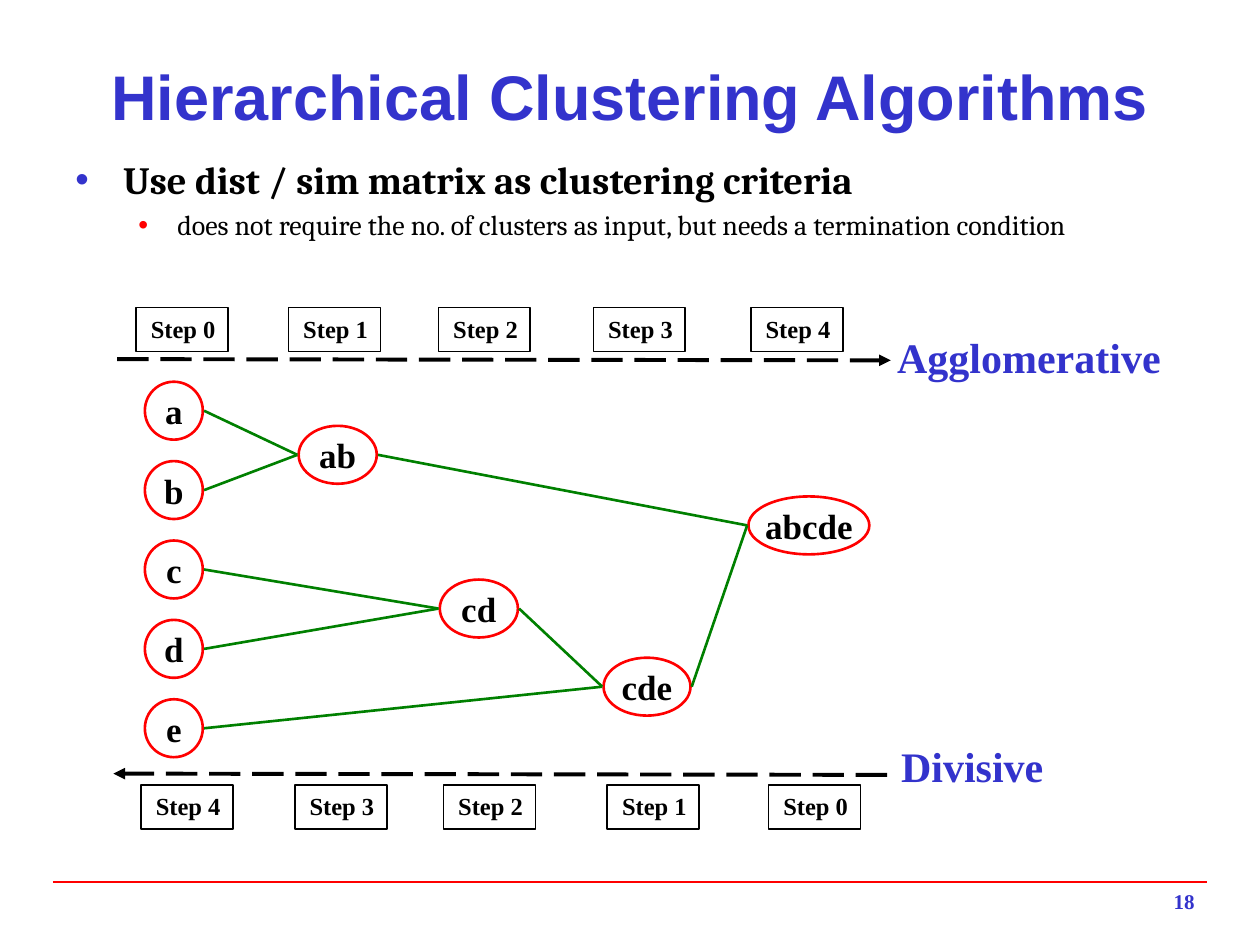
from dataclasses import dataclass

from lxml.etree import SubElement
from pptx import Presentation
from pptx.dml.color import RGBColor
from pptx.enum.dml import MSO_LINE
from pptx.enum.shapes import MSO_CONNECTOR, MSO_SHAPE
from pptx.enum.text import MSO_ANCHOR, PP_ALIGN
from pptx.oxml.ns import qn
from pptx.util import Inches, Pt


@dataclass(frozen=True)
class Theme:
    blue: str = "3333CC"
    red: str = "FF0000"
    green: str = "008000"
    black: str = "000000"
    heading_font: str = "Arial"
    body_font: str = "Cambria"
    diagram_font: str = "Times New Roman"
    title_size: int = 36
    point_size: int = 22
    subpoint_size: int = 16
    direction_size: int = 24
    cluster_size: int = 20
    step_size: int = 14
    number_size: int = 12


THEME = Theme()
CLUSTER_HEIGHT = 0.46
STEP_WIDTH, STEP_HEIGHT = 0.73, 0.35
EDGE_GAP = 0.01

LEAVES = "abcde"
LEAF_LEFT, LEAF_TOP, LEAF_PITCH = 1.15, 3.03, 0.63
MERGED = {
    "ab": (2.37, 3.38, 0.62),
    "cd": (3.49, 4.6, 0.62),
    "cde": (4.79, 5.22, 0.69),
    "abcde": (5.94, 3.94, 0.96),
}
MERGES = {"ab": ("a", "b"), "cd": ("c", "d"), "cde": ("cd", "e"), "abcde": ("ab", "cde")}

AGGLOMERATIVE_LEFTS = (1.08, 2.29, 3.48, 4.71, 5.96)
DIVISIVE_LEFTS = (1.12, 2.34, 3.52, 4.82, 6.1)


def color(value):
    return RGBColor.from_string(value)


def add_span(para, text, size, font, ink, bold=True):
    span = para.add_run()
    span.text = text
    span.font.size = Pt(size)
    span.font.name = font
    span.font.bold = bold
    span.font.color.rgb = color(ink)


def add_text(page, text, left, top, width, height, size, font=THEME.diagram_font,
             align=PP_ALIGN.RIGHT, anchor=MSO_ANCHOR.TOP, wrap=False):
    box = page.shapes.add_textbox(Inches(left), Inches(top), Inches(width), Inches(height))
    frame = box.text_frame
    frame.word_wrap = wrap
    frame.vertical_anchor = anchor
    para = frame.paragraphs[0]
    para.alignment = align
    add_span(para, text, size, font, THEME.blue)


def add_outlined(page, preset, text, left, top, width, height, line, weight, size, align, anchor):
    shape = page.shapes.add_shape(
        preset, Inches(left), Inches(top), Inches(width), Inches(height))
    shape.shadow.inherit = False
    shape.fill.background()
    shape.line.color.rgb = color(line)
    shape.line.width = Pt(weight)
    frame = shape.text_frame
    frame.word_wrap = False
    frame.vertical_anchor = anchor
    para = frame.paragraphs[0]
    para.alignment = align
    add_span(para, text, size, THEME.diagram_font, THEME.black)


def add_line(page, start, end, ink, weight):
    points = [Inches(value) for value in (*start, *end)]
    line = page.shapes.add_connector(MSO_CONNECTOR.STRAIGHT, *points)
    line.line.color.rgb = color(ink)
    line.line.width = Pt(weight)
    SubElement(line._element.spPr, qn("a:effectLst"))
    return line


def add_dashed_arrow(page, start, end):
    arrow = add_line(page, start, end, THEME.black, 2.25)
    arrow.line.dash_style = MSO_LINE.LONG_DASH
    SubElement(arrow.line._get_or_add_ln(), qn("a:tailEnd"), type="triangle")


def add_bullet(para, text, level, margin, indent, size, bullet_ink, bold):
    para.level = level
    para.space_before = Pt(size * 0.2)
    properties = para._p.get_or_add_pPr()
    properties.set("marL", str(Inches(margin)))
    properties.set("indent", str(Inches(indent)))
    bullet_color = SubElement(properties, qn("a:buClr"))
    SubElement(bullet_color, qn("a:srgbClr"), val=bullet_ink)
    SubElement(properties, qn("a:buFont"), typeface=THEME.heading_font)
    SubElement(properties, qn("a:buChar"), char="•")
    add_span(para, text, size, THEME.body_font, THEME.black, bold)


def add_body(page):
    box = page.shapes.add_textbox(Inches(0.5), Inches(1.19), Inches(9), Inches(5.47))
    frame = box.text_frame
    frame.word_wrap = True
    add_bullet(frame.paragraphs[0], "Use dist / sim matrix as clustering criteria",
               0, 0.38, -0.38, THEME.point_size, THEME.blue, True)
    add_bullet(frame.add_paragraph(),
               "does not require the no. of clusters as input, but needs a termination condition",
               1, 0.81, -0.31, THEME.subpoint_size, THEME.red, False)


def add_cluster_tree(page):
    clusters = {
        name: (LEAF_LEFT, LEAF_TOP + row * LEAF_PITCH, CLUSTER_HEIGHT)
        for row, name in enumerate(LEAVES)
    }
    clusters.update(MERGED)
    for name, (left, top, width) in clusters.items():
        add_outlined(page, MSO_SHAPE.OVAL, name, left, top, width, CLUSTER_HEIGHT,
                     THEME.red, 1.5, THEME.cluster_size, PP_ALIGN.CENTER, MSO_ANCHOR.MIDDLE)
    middle = CLUSTER_HEIGHT / 2
    for parent, children in MERGES.items():
        parent_left, parent_top, _ = clusters[parent]
        for child in children:
            left, top, width = clusters[child]
            add_line(page, (left + width + EDGE_GAP, top + middle),
                     (parent_left - EDGE_GAP, parent_top + middle), THEME.green, 1.5)


def add_steps(page, lefts, top, numbers):
    for left, number in zip(lefts, numbers):
        add_outlined(page, MSO_SHAPE.RECTANGLE, f"Step {number}", left, top,
                     STEP_WIDTH, STEP_HEIGHT, THEME.black, 1, THEME.step_size,
                     PP_ALIGN.RIGHT, MSO_ANCHOR.TOP)


def main():
    deck = Presentation()
    deck.slide_width, deck.slide_height = Inches(10), Inches(7.5)
    page = deck.slides.add_slide(deck.slide_layouts[6])

    add_line(page, (0.42, 7), (9.58, 7), THEME.red, 1)
    add_text(page, "18", 7.5, 7, 2.08, 0.33, THEME.number_size, wrap=True)
    add_text(page, "Hierarchical Clustering Algorithms", 0.5, 0.42, 9, 0.67,
             THEME.title_size, THEME.heading_font, PP_ALIGN.CENTER, MSO_ANCHOR.MIDDLE, True)
    add_body(page)
    add_cluster_tree(page)

    add_dashed_arrow(page, (0.93, 2.85), (7.07, 2.86))
    add_steps(page, AGGLOMERATIVE_LEFTS, 2.44, range(5))
    add_text(page, "Agglomerative", 7.02, 2.58, 2.29, 0.5, THEME.direction_size)

    add_dashed_arrow(page, (7.04, 6.15), (0.9, 6.14))
    add_steps(page, DIVISIVE_LEFTS, 6.23, reversed(range(5)))
    add_text(page, "Divisive", 7.05, 5.83, 1.33, 0.5, THEME.direction_size)

    deck.save("out.pptx")


main()
